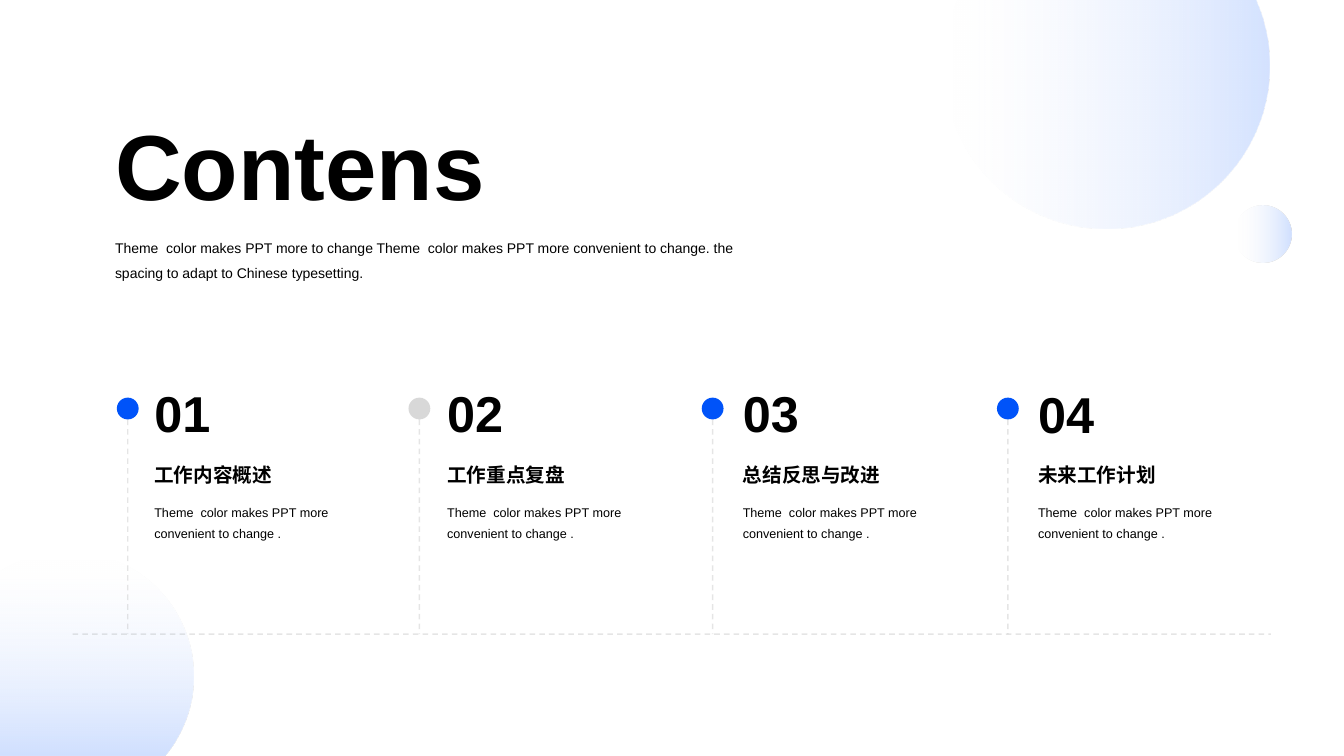
from dataclasses import dataclass
from math import acos, asin, cos, pi, sin, tan

from lxml import etree
from pptx import Presentation
from pptx.dml.color import RGBColor
from pptx.enum.dml import MSO_LINE
from pptx.enum.lang import MSO_LANGUAGE_ID
from pptx.enum.shapes import MSO_CONNECTOR, MSO_SHAPE
from pptx.enum.text import MSO_ANCHOR, MSO_AUTO_SIZE, PP_ALIGN
from pptx.oxml.ns import qn
from pptx.util import Cm, Pt

TITLE = "Contens"
INTRO = (
    "Theme  color makes PPT more to change Theme  color makes PPT more "
    "convenient to change. the spacing to adapt to Chinese typesetting."
)
SUMMARY = "Theme  color makes PPT more convenient to change ."
SECTIONS = [
    ("01", "工作内容概述", True, 3.22, 3.64, 9.48),
    ("02", "工作重点复盘", False, 10.57, 11.02, 9.48),
    ("03", "总结反思与改进", True, 17.96, 18.47, 9.49),
    ("04", "未来工作计划", True, 25.4, 25.91, 9.51),
]

OVAL = MSO_SHAPE.OVAL
STRAIGHT = MSO_CONNECTOR.STRAIGHT
DASH = MSO_LINE.DASH
TOP, BOTTOM = MSO_ANCHOR.TOP, MSO_ANCHOR.BOTTOM
LEFT = PP_ALIGN.LEFT
GROW = MSO_AUTO_SIZE.SHAPE_TO_FIT_TEXT
CHINESE = MSO_LANGUAGE_ID.SIMPLIFIED_CHINESE
ENGLISH = MSO_LANGUAGE_ID.ENGLISH_US


@dataclass(frozen=True)
class Theme:
    font: str = "Arial"
    ink: RGBColor = RGBColor(0, 0, 0)
    accent: RGBColor = RGBColor(0x00, 0x53, 0xF9)
    gray: RGBColor = RGBColor(0x80, 0x80, 0x80)
    pale: RGBColor = RGBColor(0xF2, 0xF6, 0xFF)
    sky: RGBColor = RGBColor(0xB1, 0xCB, 0xFF)
    title: Pt = Pt(66)
    number: Pt = Pt(36)
    heading: Pt = Pt(14)
    intro: Pt = Pt(10)
    summary: Pt = Pt(9)
    leading: Pt = Pt(15)


THEME = Theme()
WIDTH, HEIGHT = 33.87, 19.05
BASELINE = 15.98
DOT_SIZE, DOT_TOP = 0.55, 10.02
TEXT_WIDTH = 5.92


def set_opacity(shape, percents):
    colors = shape._element.spPr.iter(qn("a:srgbClr"))
    for color, percent in zip(colors, percents):
        etree.SubElement(color, qn("a:alpha")).set("val", str(percent * 1000))


def write(shape, box, text, size, bold=False, spacing=1.0, anchor=TOP, language=ENGLISH):
    shape.left, shape.top, shape.width, shape.height = (Cm(value) for value in box)
    frame = shape.text_frame
    frame.word_wrap = True
    frame.auto_size = GROW
    frame.vertical_anchor = anchor
    paragraph = frame.paragraphs[0]
    paragraph.alignment = LEFT
    paragraph.line_spacing = spacing
    run = paragraph.add_run()
    run.text = text
    run.font.name = THEME.font
    run.font.size = size
    run.font.bold = bold
    run.font.color.rgb = THEME.ink
    run.font.language_id = language


def add_text(slide, box, *content, **style):
    write(slide.shapes.add_textbox(0, 0, 0, 0), box, *content, **style)


def add_dashed_line(slide, *ends):
    line = slide.shapes.add_connector(STRAIGHT, *(Cm(value) for value in ends))
    line.line.color.rgb = THEME.gray
    line.line.width = Pt(1)
    line.line.dash_style = DASH
    set_opacity(line, [20])
    etree.SubElement(line._element.spPr, qn("a:effectLst"))


def add_circle(slide, left, top, size):
    circle = slide.shapes.add_shape(OVAL, Cm(left), Cm(top), Cm(size), Cm(size))
    circle.shadow.inherit = False
    circle.line.fill.background()
    return circle


def bend_segments(shape, count):
    segments = list(shape._element.spPr.iter(qn("a:lnTo")))[: 3 * count]
    for first in range(0, len(segments), 3):
        curve = etree.Element(qn("a:cubicBezTo"))
        segments[first].addprevious(curve)
        for segment in segments[first:first + 3]:
            curve.append(segment[0])
            segment.getparent().remove(segment)


def add_cut_circle(slide, center, radius, start, end, corners=(), curves=3):
    step = (end - start) / curves
    handle = 4 / 3 * tan(step / 4)

    def place(angle, offset=0.0):
        return (center[0] + radius * (cos(angle) - offset * sin(angle)),
                center[1] + radius * (sin(angle) + offset * cos(angle)))

    points = [place(start)]
    for index in range(curves):
        angle = start + index * step
        points += [place(angle, handle), place(angle + step, -handle), place(angle + step)]
    points = [(Cm(x), Cm(y)) for x, y in [*points, *corners]]
    builder = slide.shapes.build_freeform(*points[0])
    builder.add_line_segments(points[1:], close=True)
    shape = builder.convert_to_shape()
    bend_segments(shape, curves)
    shape.shadow.inherit = False
    shape.line.fill.background()
    return shape


def fade(shape, angle):
    shape.fill.gradient()
    shape.fill.gradient_angle = angle
    stops = shape.fill.gradient_stops
    for stop, position, color in zip(stops, (0.07, 1), (THEME.pale, THEME.sky)):
        stop.position = position
        stop.color.rgb = color
    set_opacity(shape, [0, 60])


def add_section(slide, number, heading, active, center, left, number_top):
    add_dashed_line(slide, center, DOT_TOP + DOT_SIZE, center, BASELINE)
    dot = add_circle(slide, center - DOT_SIZE / 2, DOT_TOP, DOT_SIZE)
    dot.fill.solid()
    dot.fill.fore_color.rgb = THEME.accent if active else THEME.gray
    if not active:
        set_opacity(dot, [30])
    add_text(slide, (left, 11.6, TEXT_WIDTH, 0.79), heading, THEME.heading,
             bold=True, spacing=THEME.leading, language=CHINESE)
    add_text(slide, (left, number_top, TEXT_WIDTH, 1.8), number, THEME.number,
             bold=True, anchor=BOTTOM)
    add_text(slide, (left, 12.45, TEXT_WIDTH, 1.27), SUMMARY, THEME.summary,
             spacing=THEME.leading)


def main():
    presentation = Presentation()
    presentation.slide_width, presentation.slide_height = Cm(WIDTH), Cm(HEIGHT)
    slide = presentation.slides.add_slide(presentation.slide_layouts[5])

    x, y, radius = 1.73, 17.04, 3.15
    lower_circle = add_cut_circle(
        slide, (x, y), radius, pi + acos(x / radius),
        2 * pi + asin((HEIGHT - y) / radius), [(0, HEIGHT)],
    )
    fade(lower_circle, 270)

    add_dashed_line(slide, 1.83, BASELINE, 32.03, BASELINE)
    for section in SECTIONS:
        add_section(slide, *section)

    write(slide.shapes.title, (2.65, 2.57, 16.84, 3.07), TITLE, THEME.title,
          bold=True, anchor=BOTTOM)
    add_text(slide, (2.65, 5.69, 16.84, 1.45), INTRO, THEME.intro, spacing=1.5)

    x, y, radius = 27.89, 1.67, 4.1
    cut = asin(y / radius)
    fade(add_cut_circle(slide, (x, y), radius, -cut, pi + cut), 0)
    fade(add_circle(slide, 31.12, 5.19, 1.43), 0)

    presentation.save("out.pptx")


if __name__ == "__main__":
    main()
